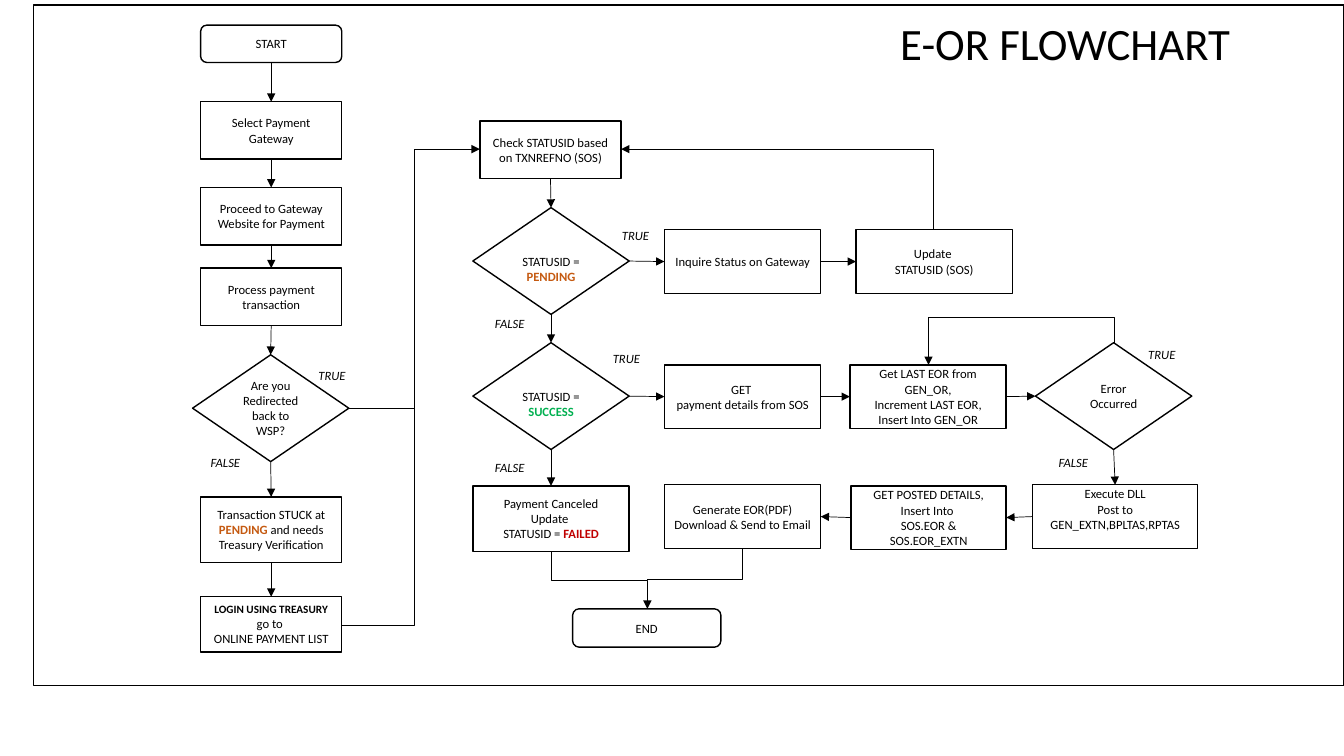
from lxml import etree
from pptx import Presentation
from pptx.dml.color import RGBColor
from pptx.enum.shapes import MSO_CONNECTOR, MSO_SHAPE
from pptx.enum.text import MSO_ANCHOR, MSO_AUTO_SIZE, PP_ALIGN
from pptx.oxml.ns import qn
from pptx.util import Inches, Pt

RECTANGLE = MSO_SHAPE.RECTANGLE
ROUNDED = MSO_SHAPE.ROUNDED_RECTANGLE
DIAMOND = MSO_SHAPE.DIAMOND
STRAIGHT = MSO_CONNECTOR.STRAIGHT
ELBOW = MSO_CONNECTOR.ELBOW
MIDDLE = MSO_ANCHOR.MIDDLE
TOP_ANCHOR = MSO_ANCHOR.TOP
FIT_SHAPE = MSO_AUTO_SIZE.SHAPE_TO_FIT_TEXT
CENTER = PP_ALIGN.CENTER
LEFT_ALIGN = PP_ALIGN.LEFT
TOP, LEFT, BOTTOM, RIGHT = range(4)

COLORS = {
    "ink": "000000",
    "paper": "FFFFFF",
    "pending": "C55A11",
    "success": "00B050",
    "failed": "C00000",
}


class Flowchart:
    font = "Calibri"
    size = 9

    def __init__(self, slide):
        self.slide = slide
        self.shapes = slide.shapes

    def color(self, name):
        return RGBColor.from_string(COLORS[name])

    def add_text(self, paragraph, text, color="ink", size=size, bold=False, italic=False):
        run = paragraph.add_run()
        run.text = text
        run.font.name = self.font
        run.font.size = Pt(size)
        run.font.bold = bold
        run.font.italic = italic
        run.font.color.rgb = self.color(color)

    def title(self, text, left, top, width, height):
        shape = self.shapes.title
        shape.left, shape.top = Inches(left), Inches(top)
        shape.width, shape.height = Inches(width), Inches(height)
        frame = shape.text_frame
        frame.word_wrap = False
        frame.auto_size = FIT_SHAPE
        frame.vertical_anchor = TOP_ANCHOR
        frame.paragraphs[0].alignment = CENTER
        self.add_text(frame.paragraphs[0], text, size=32)

    def box(self, kind, left, top, width, height):
        shape = self.shapes.add_shape(
            kind, Inches(left), Inches(top), Inches(width), Inches(height))
        shape.shadow.inherit = False
        shape.fill.solid()
        shape.fill.fore_color.rgb = self.color("paper")
        shape.line.color.rgb = self.color("ink")
        shape.line.width = Pt(1)
        return shape

    def backdrop(self, left, top, width, height):
        shape = self.box(RECTANGLE, left, top, width, height)
        self.shapes.title.element.addprevious(shape.element)

    def node(self, kind, place, paragraphs, inset_top=0.05, inset_bottom=0.05):
        shape = self.box(kind, *place)
        frame = shape.text_frame
        frame.word_wrap = True
        frame.vertical_anchor = MIDDLE
        frame.margin_top = Inches(inset_top)
        frame.margin_bottom = Inches(inset_bottom)
        for index, runs in enumerate(paragraphs):
            paragraph = frame.add_paragraph() if index else frame.paragraphs[0]
            paragraph.alignment = CENTER
            for run in [runs] if isinstance(runs, str) else runs:
                if isinstance(run, str):
                    self.add_text(paragraph, run)
                else:
                    self.add_text(paragraph, *run, bold=True)
        return shape

    def label(self, text, left, top):
        width = 0.47 if text == "TRUE" else 0.51
        shape = self.shapes.add_textbox(
            Inches(left), Inches(top), Inches(width), Inches(0.25))
        frame = shape.text_frame
        frame.word_wrap = False
        frame.auto_size = FIT_SHAPE
        frame.paragraphs[0].alignment = LEFT_ALIGN
        self.add_text(frame.paragraphs[0], text, italic=True)

    def style_line(self, connector, arrow=True):
        connector.line.color.rgb = self.color("ink")
        connector.line.width = Pt(0.5)
        properties = connector.element.spPr
        if arrow:
            line = properties.find(qn("a:ln"))
            etree.SubElement(line, qn("a:tailEnd"), type="triangle")
        etree.SubElement(properties, qn("a:effectLst"))

    def flow(self, source, target, side):
        connector = self.shapes.add_connector(STRAIGHT, 0, 0, 0, 0)
        connector.begin_connect(source, side)
        connector.end_connect(target, (side + 2) % 4)
        self.style_line(connector)

    def bend(self, begin, end, vertical=False, corners=2, adjust=0.5, arrow=True):
        across, down = end[0] - begin[0], end[1] - begin[1]
        width, height = abs(across), abs(down)
        flip_h, flip_v = across < 0, down < 0
        if vertical:
            width, height = height, width
            flip_h, flip_v = down > 0, across < 0
        connector = self.shapes.add_connector(ELBOW, 0, 0, 0, 0)
        connector.left = Inches((begin[0] + end[0] - width) / 2)
        connector.top = Inches((begin[1] + end[1] - height) / 2)
        connector.width, connector.height = Inches(width), Inches(height)
        transform = connector.element.spPr.find(qn("a:xfrm"))
        transform.set("rot", "16200000" if vertical else "0")
        transform.set("flipH", str(int(flip_h)))
        transform.set("flipV", str(int(flip_v)))
        geometry = connector.element.spPr.find(qn("a:prstGeom"))
        geometry.set("prst", f"bentConnector{corners + 1}")
        if corners == 2:
            guides = geometry.find(qn("a:avLst"))
            formula = f"val {round(adjust * 100000)}"
            etree.SubElement(guides, qn("a:gd"), name="adj1", fmla=formula)
        self.style_line(connector, arrow)


def main():
    presentation = Presentation()
    presentation.slide_width, presentation.slide_height = Inches(13.33), Inches(7.5)
    chart = Flowchart(presentation.slides.add_slide(presentation.slide_layouts[5]))
    chart.backdrop(0.33, 0.05, 13, 6.75)
    chart.title("E-OR FLOWCHART", 8.81, 0.11, 3.51, 0.64)

    start = chart.node(ROUNDED, (1.99, 0.25, 1.4, 0.37), ["START"])
    select = chart.node(RECTANGLE, (1.99, 1.01, 1.4, 0.57), ["Select Payment Gateway"])
    proceed = chart.node(RECTANGLE, (1.99, 1.86, 1.4, 0.57),
                         ["Proceed to Gateway Website for Payment"])
    process = chart.node(RECTANGLE, (1.99, 2.66, 1.4, 0.57), ["Process payment transaction"])
    redirected = chart.node(DIAMOND, (1.91, 3.52, 1.55, 1.06),
                            ["Are you Redirected back to WSP?"])
    stuck = chart.node(RECTANGLE, (1.99, 4.93, 1.4, 0.65), [
        ["Transaction STUCK at ", ("PENDING", "pending"), " and needs Treasury Verification"]])
    login = chart.node(RECTANGLE, (1.99, 5.92, 1.4, 0.55), [
        [("LOGIN USING TREASURY", "ink", 8)], "go to ", "ONLINE PAYMENT LIST"])

    check = chart.node(RECTANGLE, (4.76, 1.2, 1.4, 0.57),
                       ["Check STATUSID based on TXNREFNO (SOS)"])
    pending, success = [
        chart.node(DIAMOND, (4.69, top, 1.55, 1.06),
                   ["STATUSID = ", [(status, status.lower())]], inset_top=0.2)
        for status, top in (("PENDING", 2.06), ("SUCCESS", 3.4))]
    canceled = chart.node(RECTANGLE, (4.69, 4.82, 1.55, 0.65), [
        "Payment Canceled", "Update ", ["STATUSID = ", ("FAILED", "failed")]])
    chart.node(ROUNDED, (5.68, 6.04, 1.47, 0.38), ["END"])

    inquire = chart.node(RECTANGLE, (6.59, 2.28, 1.55, 0.63), ["Inquire Status on Gateway"])
    update = chart.node(RECTANGLE, (8.49, 2.28, 1.55, 0.63), ["Update ", "STATUSID (SOS)"])
    details = chart.node(RECTANGLE, (6.59, 3.62, 1.55, 0.63),
                         ["GET ", "payment details from SOS"])
    increment = chart.node(RECTANGLE, (8.43, 3.62, 1.55, 0.63), [
        "Get LAST EOR from GEN_OR,", "Increment LAST EOR,", "Insert Into GEN_OR"])
    error = chart.node(DIAMOND, (10.27, 3.4, 1.55, 1.06), ["Error Occurred"])
    execute = chart.node(RECTANGLE, (10.24, 4.81, 1.64, 0.63),
                         ["Execute DLL", "Post to GEN_EXTN,BPLTAS,RPTAS"],
                         inset_top=0, inset_bottom=0.15)
    posted = chart.node(RECTANGLE, (8.44, 4.82, 1.54, 0.63), [
        "GET POSTED DETAILS,", "Insert Into ", "SOS.EOR &", "SOS.EOR_EXTN"])
    generate = chart.node(RECTANGLE, (6.59, 4.81, 1.55, 0.63),
                          ["Generate EOR(PDF)", "Download & Send to Email"])

    for side, chain in (
        (BOTTOM, (start, select, proceed, process, redirected, stuck, login)),
        (BOTTOM, (check, pending, success, canceled)),
        (RIGHT, (pending, inquire, update)),
        (RIGHT, (success, details, increment, error)),
        (BOTTOM, (error, execute)),
        (LEFT, (execute, posted, generate)),
    ):
        for source, target in zip(chain, chain[1:]):
            chart.flow(source, target, side)

    chart.bend((3.46, 4.05), (4.76, 1.48))
    chart.bend((3.39, 6.2), (4.11, 3.64), corners=1, arrow=False)
    chart.bend((9.26, 2.28), (6.16, 1.48), vertical=True, corners=1)
    chart.bend((11.05, 3.4), (9.21, 3.62), vertical=True, adjust=-1.16)
    chart.bend((5.47, 5.47), (6.42, 6.04), vertical=True)
    chart.bend((7.36, 5.44), (6.42, 5.75), vertical=True, corners=1, arrow=False)

    for text, places in (
        ("TRUE", ((3.06, 3.6), (6.07, 2.21), (5.98, 3.43), (11.29, 3.39))),
        ("FALSE", ((1.99, 4.46), (4.81, 3.08), (4.81, 4.51), (10.4, 4.46))),
    ):
        for left, top in places:
            chart.label(text, left, top)

    presentation.save("out.pptx")


if __name__ == "__main__":
    main()
